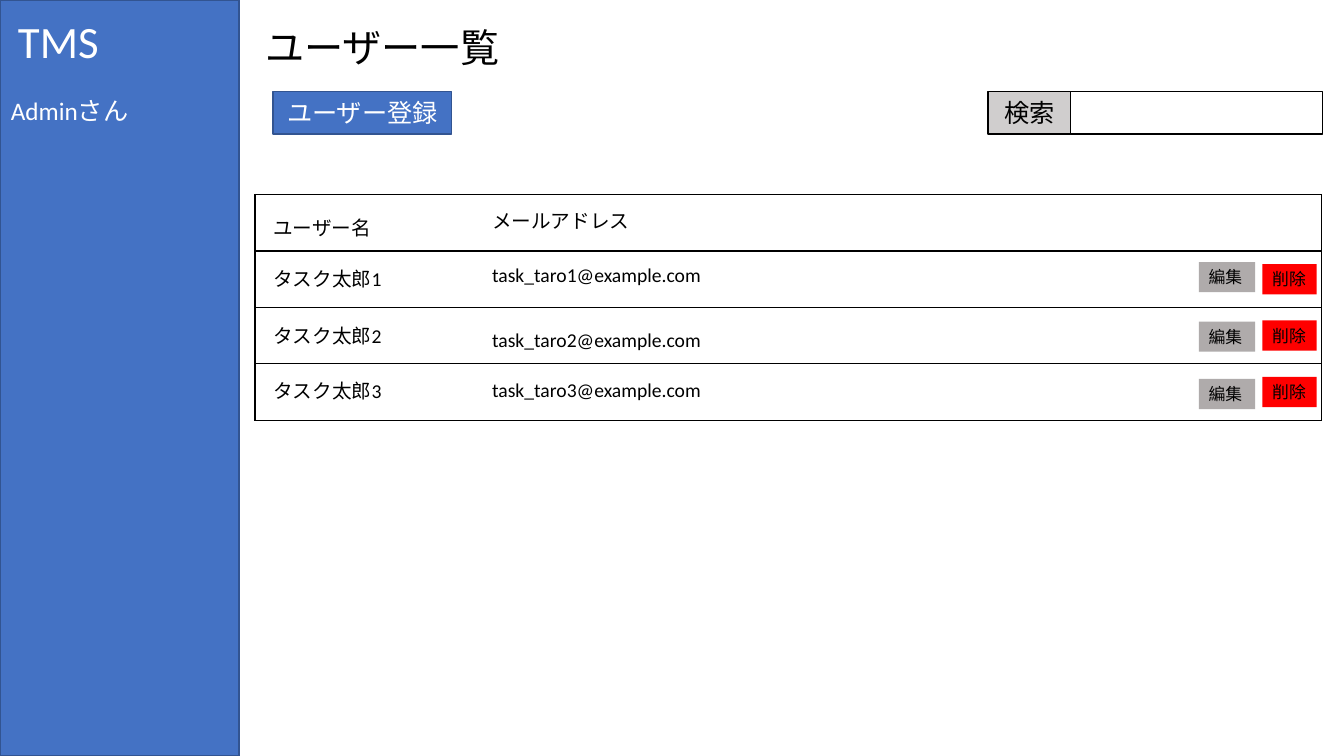
from lxml.etree import SubElement
from pptx import Presentation
from pptx.dml.color import RGBColor
from pptx.enum.shapes import MSO_SHAPE
from pptx.enum.text import MSO_ANCHOR, PP_ALIGN
from pptx.oxml.ns import qn
from pptx.util import Inches, Pt

BLUE, NAVY, BLACK, WHITE = "4472C4", "325491", "000000", "FFFFFF"
RED, GREY, SILVER = "FF0000", "AFABAB", "D0CECE"
ROW_HEIGHT = 0.56
COLUMN_WIDTHS = (2.25, 7.0, 1.33)

# Each cell holds its text and the gap above it
ROWS = [
    (("ユーザー名", 0.18), ("メールアドレス", 0.11)),
    (("タスク太郎1", 0.13), ("task_taro1@example.com", 0.13)),
    (("タスク太郎2", 0.13), ("task_taro2@example.com", 0.21)),
    (("タスク太郎3", 0.12), ("task_taro3@example.com", 0.15)),
]
EDIT_OFFSETS = (0.11, 0.14, 0.15)
DELETE_OFFSET = 0.13


def color(code):
    return RGBColor.from_string(code)


def add_line(parent, tag, code, points):
    line = SubElement(parent, qn(tag), w=str(Pt(points)))
    if code:
        fill = SubElement(line, qn("a:solidFill"))
        SubElement(fill, qn("a:srgbClr"), val=code)
    else:
        SubElement(line, qn("a:noFill"))
    return line


def write(frame, text, size=14, ink=BLACK, align=PP_ALIGN.LEFT,
          anchor=MSO_ANCHOR.TOP, outline=None):
    frame.word_wrap = True
    frame.vertical_anchor = anchor
    para = frame.paragraphs[0]
    para.alignment = align
    span = para.add_run()
    span.text = text
    span.font.name = "Calibri"
    span.font.size = Pt(size)
    span.font.color.rgb = color(ink)
    if outline:
        properties = span.font._element
        properties.insert(0, add_line(properties, "a:ln", outline, 0.75))


def add_text(page, box, text, **style):
    label = page.shapes.add_textbox(*map(Inches, box))
    write(label.text_frame, text, **style)


def add_box(page, box, fill=None, line=None, text=None, **style):
    shape = page.shapes.add_shape(MSO_SHAPE.RECTANGLE, *map(Inches, box))
    shape.shadow.inherit = False
    if fill:
        shape.fill.solid()
        shape.fill.fore_color.rgb = color(fill)
    else:
        shape.fill.background()
    if line:
        shape.line.color.rgb = color(line)
        shape.line.width = Pt(1)
    else:
        shape.line.fill.background()
    if text:
        write(shape.text_frame, text, **style)


def add_sidebar(page, box):
    left, top, width, height = box
    add_box(page, box, fill=BLUE, line=NAVY)
    add_text(page, (left + 0.08, top + 0.09, 2.21, 0.64), "TMS", size=32, ink=WHITE)
    add_text(page, (left + 0.01, top + 0.9, 2.21, 0.4), "Adminさん", size=18, ink=WHITE)


def add_title(page, box):
    title = page.shapes.title
    title.left, title.top, title.width, title.height = map(Inches, box)
    write(title.text_frame, "ユーザー一覧", size=28)


def add_toolbar(page, box):
    left, top, width, height = box
    centred = dict(size=18, align=PP_ALIGN.CENTER, anchor=MSO_ANCHOR.MIDDLE)
    add_box(page, (left, top, 1.77, height), BLUE, NAVY, "ユーザー登録",
            ink=WHITE, **centred)
    # Search label and field, flush with the right edge
    field_width, label_width = 2.5, 0.82
    field_left = left + width - field_width
    add_box(page, (field_left, top, field_width, height), line=BLACK)
    add_box(page, (field_left - label_width, top, label_width, height),
            SILVER, BLACK, "検索", **centred)


def format_cell(cell, is_first, is_last):
    cell.fill.background()
    cell.margin_bottom = 0
    properties = cell._tc.get_or_add_tcPr()
    sides = {"a:lnL": is_first, "a:lnR": is_last, "a:lnT": True, "a:lnB": True}
    # Borders stand before the fill; inner vertical ones stay clear
    for index, (side, is_drawn) in enumerate(sides.items()):
        border = add_line(properties, side, BLACK if is_drawn else None, 1)
        properties.insert(index, border)


def add_user_table(page, box):
    left, top, width, height = box
    table = page.shapes.add_table(len(ROWS), len(COLUMN_WIDTHS),
                                  *map(Inches, box)).table
    table.first_row = table.horz_banding = False
    for column, column_width in zip(table.columns, COLUMN_WIDTHS):
        column.width = Inches(column_width)
    for row, entries in zip(table.rows, ROWS):
        row.height = Inches(ROW_HEIGHT)
        for index, cell in enumerate(row.cells):
            format_cell(cell, index == 0, index == len(COLUMN_WIDTHS) - 1)
        for cell, (text, gap) in zip(row.cells, entries):
            cell.margin_top = Inches(gap)
            write(cell.text_frame, text)
        row.cells[0].margin_left = Inches(0.18)

    # Edit and delete buttons on each user row
    for number, edit_offset in enumerate(EDIT_OFFSETS, start=1):
        row_top = top + number * ROW_HEIGHT
        add_box(page, (left + 9.99, row_top + DELETE_OFFSET, 0.54, 0.3), RED,
                text="削除", size=12, outline=WHITE)
        add_box(page, (left + 9.36, row_top + edit_offset, 0.56, 0.3), GREY,
                text="編集", size=12)


deck = Presentation()
deck.slide_width, deck.slide_height = Inches(13.33), Inches(7.5)
page = deck.slides.add_slide(deck.slide_layouts[5])

add_sidebar(page, (0, 0, 2.37, 7.5))
add_title(page, (2.53, 0.18, 2.67, 0.57))
add_toolbar(page, (2.71, 0.91, 10.41, 0.42))
add_user_table(page, (2.53, 1.93, sum(COLUMN_WIDTHS), len(ROWS) * ROW_HEIGHT))

deck.save("out.pptx")
